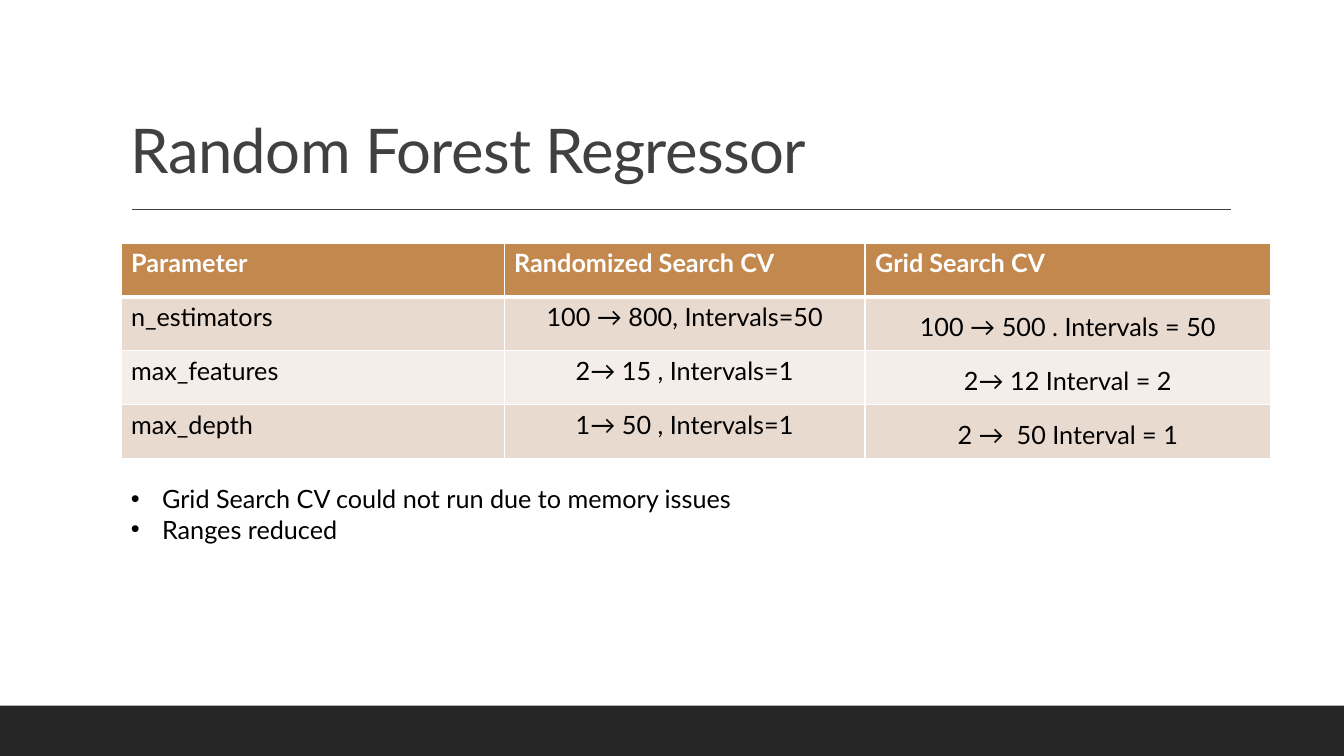
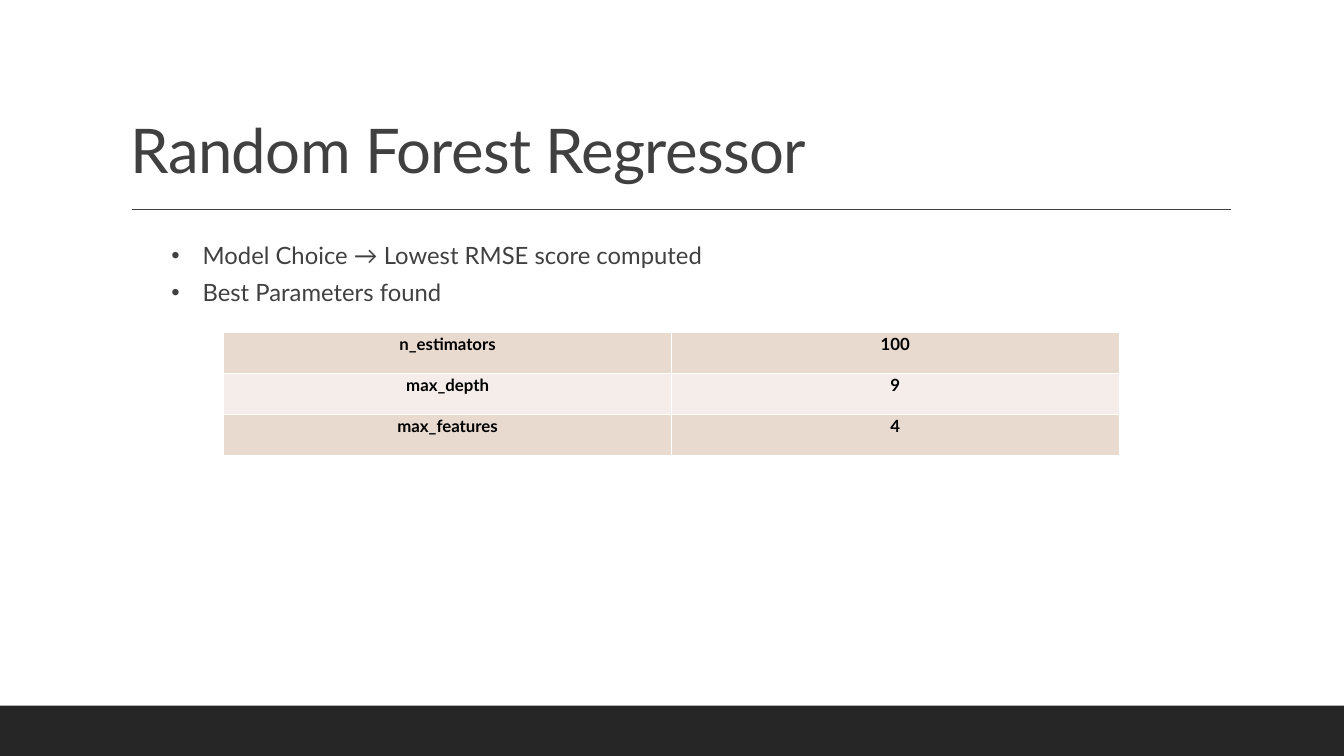
from lxml import etree
from pptx import Presentation
from pptx import util as u
from pptx.dml.color import RGBColor
from pptx.enum import shapes, text
from pptx.oxml import ns

EMU_PER_PX = 9144  # 100 px to the inch
LEFT = text.PP_ALIGN.LEFT
CENTER = text.PP_ALIGN.CENTER


def px(length):
    return u.Emu(length * EMU_PER_PX)


def color(value):
    return RGBColor.from_string(value)


def add_node(parent, tag, **attributes):
    return etree.SubElement(parent, ns.qn(tag), attributes)


class Report:
    FONT = "Lato"
    GREY, BLACK, WHITE = "404040", "000000", "FFFFFF"
    FOOTER, HEADER = "262626", "C3884D"
    BANDS = ("E9DAD0", "F5EDE9")
    PLAIN_INSETS = (10, 5, 10, 5)
    TIGHT_INSETS = (7, 0, 7, 0)

    def __init__(self):
        self.deck = Presentation()
        self.deck.slide_width, self.deck.slide_height = px(1333), px(750)
        self.slide = None

    def add_page(self, title):
        """Start a slide with its footer band, title and rule."""
        self.slide = self.deck.slides.add_slide(self.deck.slide_layouts[6])
        self.add_band(0, 700, 1333, 50)
        self.add_rule(131, 208, 1221)
        frame = self.add_box(120, 31, 1100, 159)
        frame.vertical_anchor = text.MSO_ANCHOR.BOTTOM
        para = frame.paragraphs[0]
        para.line_spacing = 0.9
        span = self.add_span(para, title, 44, self.GREY)
        span.font._element.set("spc", "-50")

    def add_band(self, left, top, width, height):
        band = self.slide.shapes.add_shape(
            shapes.MSO_SHAPE.RECTANGLE, px(left), px(top), px(width), px(height))
        band.shadow.inherit = False
        band.fill.solid()
        band.fill.fore_color.rgb = color(self.FOOTER)
        band.line.fill.background()

    def add_rule(self, left, top, right):
        rule = self.slide.shapes.add_connector(
            shapes.MSO_CONNECTOR.STRAIGHT, px(left), px(top), px(right), px(top))
        rule.line.color.rgb = color(self.GREY)
        rule.line.width = u.Pt(1)
        add_node(rule._element.spPr, "a:effectLst")

    def add_box(self, left, top, width, height, insets=PLAIN_INSETS):
        box = self.slide.shapes.add_textbox(px(left), px(top), px(width), px(height))
        frame = box.text_frame
        frame.word_wrap = True
        self.set_insets(frame, insets)
        return frame

    def set_insets(self, target, insets):
        (target.margin_left, target.margin_top,
         target.margin_right, target.margin_bottom) = map(px, insets)

    def add_span(self, para, words, size, hue, bold=False):
        span = para.add_run()
        span.text = words
        span.font.name, span.font.size, span.font.bold = self.FONT, u.Pt(size), bold
        span.font.color.rgb = color(hue)
        return span

    def add_bullets(self, frame, lines, size, hue, indent=31, before=0, after=0):
        for index, words in enumerate(lines):
            para = frame.add_paragraph() if index else frame.paragraphs[0]
            props = para._p.get_or_add_pPr()
            props.set("marL", str(px(indent)))
            props.set("indent", str(px(-31)))
            add_node(props, "a:buFont", typeface="Arial")
            add_node(props, "a:buChar", char="•")
            para.space_before = u.Pt(before if index else 0)
            para.space_after = u.Pt(after)
            self.add_span(para, words, size, hue)

    def add_table(self, left, top, widths, height, row_count):
        """Add a table with equal rows and no built-in banding."""
        table = self.slide.shapes.add_table(
            row_count, len(widths), px(left), px(top), px(sum(widths)), px(height)).table
        table.first_row = table.horz_banding = False
        for column, width in zip(table.columns, widths):
            column.width = px(width)
        for row in table.rows:
            row.height = px(height) // row_count
        return table

    def fill_cell(self, cell, words, fill, size, hue, bold=False, align=LEFT,
                  spacing=None, insets=PLAIN_INSETS, top_edge=1, bottom_edge=1):
        self.set_insets(cell, insets)
        props = cell._tc.get_or_add_tcPr()
        edges = (("a:lnL", 1), ("a:lnR", 1), ("a:lnT", top_edge), ("a:lnB", bottom_edge))
        for tag, points in edges:
            edge = add_node(props, tag, w=str(u.Pt(points)))
            add_node(add_node(edge, "a:solidFill"), "a:srgbClr", val=self.WHITE)
        cell.fill.solid()
        cell.fill.fore_color.rgb = color(fill)
        para = cell.text_frame.paragraphs[0]
        para.alignment, para.line_spacing = align, spacing
        self.add_span(para, words, size, hue, bold)


def build_search_ranges(report):
    report.add_page("Random Forest Regressor")
    headings = ("Parameter", "Randomized Search CV", "Grid Search CV")
    ranges = (
        ("n_estimators", "100 → 800, Intervals=50", "100 → 500 . Intervals = 50"),
        ("max_features", "2→ 15 , Intervals=1", "2→ 12 Interval = 2"),
        ("max_depth", "1→ 50 , Intervals=1", "2 →  50 Interval = 1"),
    )
    column_styles = (
        {},
        {"align": CENTER},
        {"align": CENTER, "spacing": 1.5, "insets": report.TIGHT_INSETS},
    )
    table = report.add_table(120, 241, (380, 358, 402), 214, len(ranges) + 1)
    for column, heading in enumerate(headings):
        report.fill_cell(table.cell(0, column), heading, report.HEADER, 18,
                         report.WHITE, bold=True, bottom_edge=3)
    for row, values in enumerate(ranges):
        for column, words in enumerate(values):
            report.fill_cell(table.cell(row + 1, column), words, report.BANDS[row % 2],
                             18, report.BLACK, top_edge=1 if row else 3,
                             **column_styles[column])
    notes = report.add_box(120, 475, 883, 71)
    report.add_bullets(notes, ("Grid Search CV could not run due to memory issues",
                               "Ranges reduced"), 18, report.BLACK)


def build_best_parameters(report):
    report.add_page("Random Forest Regressor")
    findings = report.add_box(120, 234, 1100, 95, insets=(0, 5, 0, 5))
    report.add_bullets(findings, ("Model Choice → Lowest RMSE score computed",
                                  "Best Parameters found"),
                       17, report.GREY, indent=81, before=2, after=4)
    best = (("n_estimators", "100"), ("max_depth", "9"), ("max_features", "4"))
    table = report.add_table(222, 330, (444, 444), 122, len(best))
    for row, values in enumerate(best):
        for column, words in enumerate(values):
            report.fill_cell(table.cell(row, column), words, report.BANDS[row % 2],
                             12, report.BLACK, bold=True, align=CENTER,
                             spacing=u.Pt(15), insets=report.TIGHT_INSETS)


def main():
    report = Report()
    build_search_ranges(report)
    build_best_parameters(report)
    report.deck.save("out.pptx")


if __name__ == "__main__":
    main()
